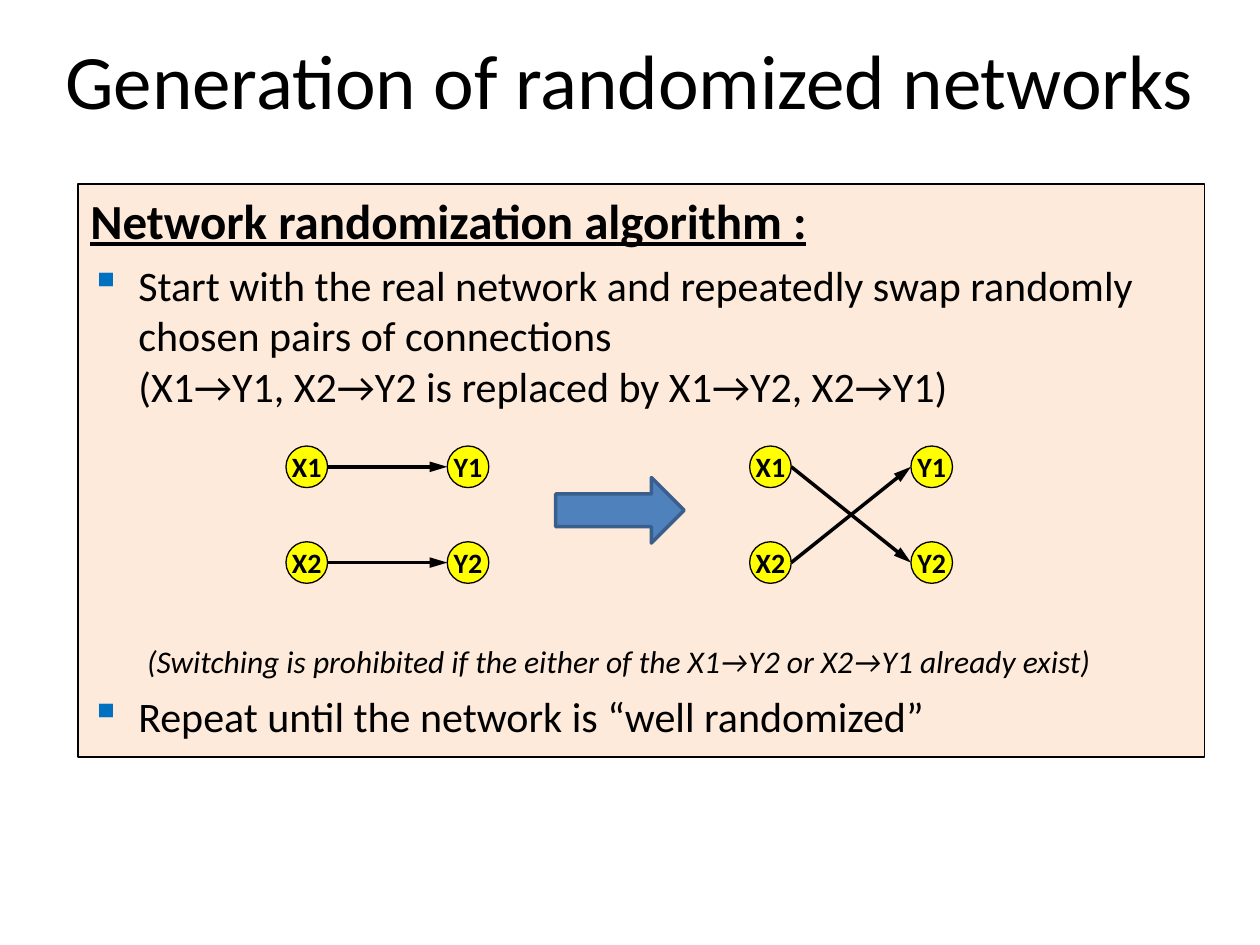
"""Build the slide on generating randomized networks."""
import dataclasses

import lxml.etree
import pptx
import pptx.dml.color
import pptx.enum.shapes
import pptx.enum.text
import pptx.oxml.ns
import pptx.util

Inches = pptx.util.Inches
Pt = pptx.util.Pt
qn = pptx.oxml.ns.qn
Shape = pptx.enum.shapes.MSO_SHAPE
NODE_SIZE = 0.33
COLUMN_GAP = 1.28
ROW_TOPS = (3.54, 4.3)


@dataclasses.dataclass(frozen=True)
class Theme:
    """Colours, font and type sizes of the slide."""
    font: str = "Calibri"
    ink: str = "000000"
    panel: str = "FDEADA"
    node: str = "FFFF00"
    arrow: str = "4F81BD"
    arrow_edge: str = "3A5F8C"
    bullet: str = "0070C0"
    title_size: int = 44
    heading_size: int = 28
    body_size: int = 24
    note_size: int = 18
    node_size: int = 16


THEME = Theme()


def rgb(value):
    """Return a colour from its hex value."""
    return pptx.dml.color.RGBColor.from_string(value)


def style_text(paragraph, size, bold=False, italic=False, underline=False):
    """Format every run of a paragraph."""
    for run in paragraph.runs:
        font = run.font
        font.name, font.size = THEME.font, Pt(size)
        font.bold, font.italic, font.underline = bold, italic, underline
        font.color.rgb = rgb(THEME.ink)


def add_filled_shape(slide, kind, box, fill, edge, weight):
    """Add a flat preset shape with a fill and an outline."""
    shape = slide.shapes.add_shape(kind, *map(Inches, box))
    shape.shadow.inherit = False
    shape.fill.solid()
    shape.fill.fore_color.rgb = rgb(fill)
    shape.line.color.rgb = rgb(edge)
    shape.line.width = Pt(weight)
    return shape


def set_indent(paragraph, left, first=0):
    """Set the left margin and the first-line indent."""
    properties = paragraph._p.get_or_add_pPr()
    properties.set("marL", str(Inches(left)))
    properties.set("indent", str(Inches(first)))
    return properties


def set_bullet(paragraph):
    """Give a paragraph a coloured square bullet with a hanging indent."""
    properties = set_indent(paragraph, 0.38, -0.38)
    colour = lxml.etree.SubElement(properties, qn("a:buClr"))
    lxml.etree.SubElement(colour, qn("a:srgbClr"), val=THEME.bullet)
    lxml.etree.SubElement(properties, qn("a:buChar"), char="▪")


def add_title(slide, text):
    """Place and format the slide title."""
    title = slide.shapes.title
    title.left, title.top, title.width, title.height = map(Inches, (0, 0, 10, 1.25))
    title.text_frame.text = text
    title.text_frame.vertical_anchor = pptx.enum.text.MSO_ANCHOR.MIDDLE
    paragraph = title.text_frame.paragraphs[0]
    paragraph.alignment = pptx.enum.text.PP_ALIGN.CENTER
    style_text(paragraph, THEME.title_size)


def add_algorithm(slide):
    """Add the panel that describes the algorithm."""
    panel = add_filled_shape(slide, Shape.RECTANGLE, (0.62, 1.46, 8.94, 4.55),
                             THEME.panel, THEME.ink, 1)
    frame = panel.text_frame
    frame.word_wrap = True
    frame.vertical_anchor = pptx.enum.text.MSO_ANCHOR.TOP
    frame.text = "\n".join((
        "Network randomization algorithm :",
        "Start with the real network and repeatedly swap randomly chosen pairs "
        "of connections\v(X1→Y1, X2→Y2 is replaced by X1→Y2, X2→Y1)",
        "(Switching is prohibited if the either of the X1→Y2 or X2→Y1 already exist)",
        "Repeat until the network is “well randomized”",
    ))
    heading, swap, note, repeat = frame.paragraphs
    for paragraph in frame.paragraphs:
        paragraph.alignment = pptx.enum.text.PP_ALIGN.LEFT
        paragraph.space_after = Pt(6)
    note.space_before = Pt(126)
    set_indent(note, 0.45)
    style_text(heading, THEME.heading_size, bold=True, underline=True)
    style_text(note, THEME.note_size, italic=True)
    for step in (swap, repeat):
        set_bullet(step)
        style_text(step, THEME.body_size)


def add_node(slide, label, left, top):
    """Add one labelled network node."""
    node = add_filled_shape(slide, Shape.OVAL, (left, top, NODE_SIZE, NODE_SIZE),
                            THEME.node, THEME.ink, 0.75)
    frame = node.text_frame
    frame.margin_left = frame.margin_right = frame.margin_top = frame.margin_bottom = 0
    frame.word_wrap = False
    frame.vertical_anchor = pptx.enum.text.MSO_ANCHOR.MIDDLE
    frame.text = label
    frame.paragraphs[0].alignment = pptx.enum.text.PP_ALIGN.CENTER
    style_text(frame.paragraphs[0], THEME.node_size, bold=True)


def add_link(slide, start, end):
    """Add a directed connection between two points."""
    link = slide.shapes.add_connector(pptx.enum.shapes.MSO_CONNECTOR.STRAIGHT,
                                      *map(Inches, start + end))
    link.line.color.rgb = rgb(THEME.ink)
    link.line.width = Pt(2)
    lxml.etree.SubElement(link.line._get_or_add_ln(), qn("a:tailEnd"),
                          type="triangle", w="med", len="lg")
    lxml.etree.SubElement(link._element.spPr, qn("a:effectLst"))


def add_network(slide, left, targets):
    """Add two sources and two targets, joined by target row."""
    for row, top in enumerate(ROW_TOPS):
        add_node(slide, f"X{row + 1}", left, top)
        add_node(slide, f"Y{row + 1}", left + COLUMN_GAP, top)
    middles = [top + NODE_SIZE / 2 for top in ROW_TOPS]
    for source, target in enumerate(targets):
        add_link(slide, (left + NODE_SIZE, middles[source]),
                 (left + COLUMN_GAP, middles[target]))


def main():
    """Build and save the presentation."""
    presentation = pptx.Presentation()
    presentation.slide_width, presentation.slide_height = Inches(10), Inches(7.5)
    slide = presentation.slides.add_slide(presentation.slide_layouts[5])
    add_title(slide, "Generation of randomized networks")
    add_algorithm(slide)
    add_network(slide, 2.27, (0, 1))
    add_network(slide, 5.95, (1, 0))
    add_filled_shape(slide, Shape.RIGHT_ARROW, (4.41, 3.79, 1.02, 0.52),
                     THEME.arrow, THEME.arrow_edge, 2)
    presentation.save("out.pptx")


if __name__ == "__main__":
    main()
